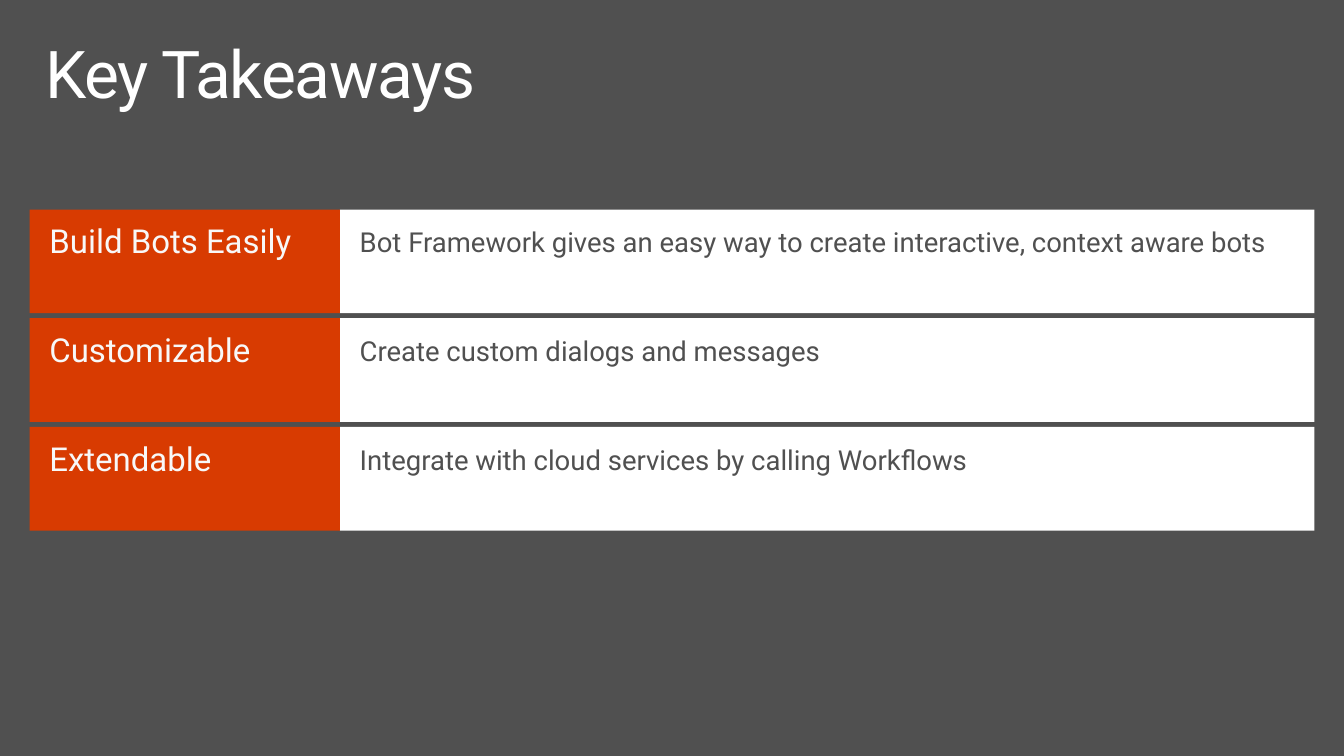
"""Build the Key Takeaways slide: a title above three labelled rows."""
from dataclasses import dataclass

from pptx import Presentation
from pptx.dml.color import RGBColor as Color
from pptx.enum.shapes import MSO_SHAPE as Shape
from pptx.enum.text import MSO_ANCHOR as Anchor, PP_ALIGN as Align
from pptx.util import Pt

PX = 9144


@dataclass(frozen=True)
class Theme:
    font: str = "Roboto"
    background: str = "505050"
    title: str = "FFFFFF"
    label_fill: str = "D83B01"
    label_text: str = "F8F8F8"
    detail_fill: str = "FFFFFF"
    detail_text: str = "505050"
    title_size: int = 48
    label_size: int = 24
    detail_size: int = 20


theme = Theme()


def write(box, text, size, color, inset_x, inset_y, line_spacing):
    frame = box.text_frame
    frame.word_wrap = True
    frame.vertical_anchor = Anchor.TOP
    frame.margin_left = frame.margin_right = inset_x * PX
    frame.margin_top = frame.margin_bottom = inset_y * PX
    frame.text = text
    para = frame.paragraphs[0]
    para.alignment = Align.LEFT
    para.line_spacing = line_spacing
    span = para.runs[0]
    span.font.name = theme.font
    span.font.size = Pt(size)
    span.font.color.rgb = Color.from_string(color)
    return span


def add_panel(left, top, width, height, fill):
    panel = page.shapes.add_shape(Shape.RECTANGLE, left * PX, top * PX, width * PX, height * PX)
    panel.shadow.inherit = False
    panel.fill.solid()
    panel.fill.fore_color.rgb = Color.from_string(fill)
    panel.line.fill.background()
    return panel


deck = Presentation()
deck.slide_width = 1360 * PX
deck.slide_height = 765 * PX
page = deck.slides.add_slide(deck.slide_layouts[6])
page.background.fill.solid()
page.background.fill.fore_color.rgb = Color.from_string(theme.background)

title = page.shapes.add_textbox(30 * PX, 32 * PX, 1300 * PX, 100 * PX)
title_span = write(title, "Key Takeaways", theme.title_size, theme.title, 16, 10, 0.9)
title_span._r.get_or_add_rPr().set("spc", "-100")

takeaways = [
    ("Build Bots Easily", "Bot Framework gives an easy way to create interactive, context aware bots"),
    ("Customizable", "Create custom dialogs and messages"),
    ("Extendable", "Integrate with cloud services by calling Workflows"),
]
row_left, row_top, row_height, row_step = 30, 212, 105, 110
label_width, detail_width = 314, 986

for index, (label_text, detail_text) in enumerate(takeaways):
    top = row_top + index * row_step
    detail = add_panel(row_left + label_width, top, detail_width, row_height, theme.detail_fill)
    write(detail, detail_text, theme.detail_size, theme.detail_text, 20, 16, 1.0)
    label = add_panel(row_left, top, label_width, row_height, theme.label_fill)
    write(label, label_text, theme.label_size, theme.label_text, 20, 16, 0.9)

deck.save("out.pptx")
